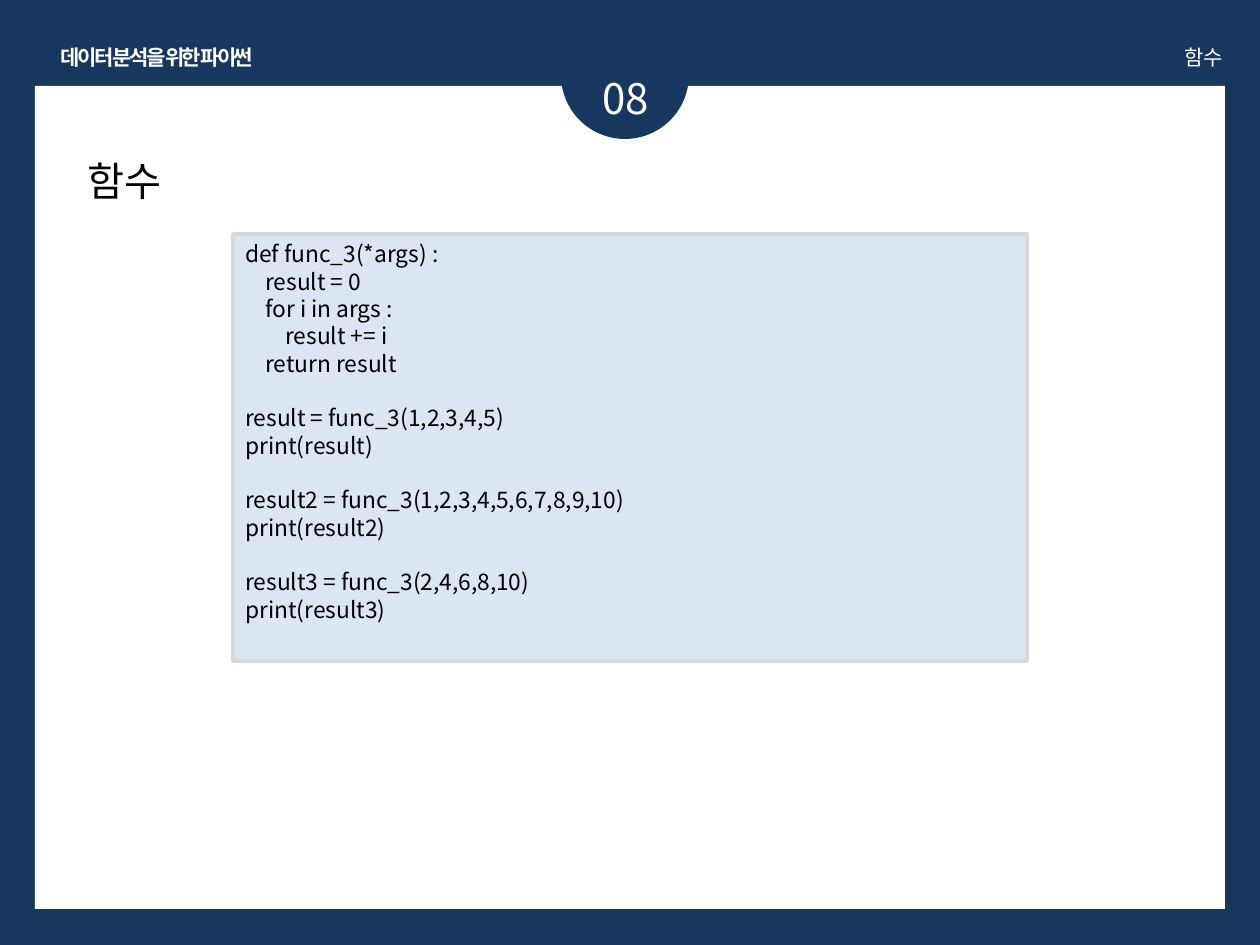
from lxml.etree import SubElement
from pptx import Presentation
from pptx.dml.color import RGBColor
from pptx.enum.shapes import MSO_SHAPE
from pptx.enum.text import MSO_ANCHOR, MSO_AUTO_SIZE, PP_ALIGN
from pptx.oxml.ns import qn
from pptx.util import Emu, Pt

PX = 914400 // 126
FONT = "Noto Sans CJK KR"
NAVY, WHITE, BLACK = "17375E", "FFFFFF", "000000"
CODE_SIZE = 13
INDENT = 20
CODE_BLOCKS = [
    [(0, "def func_3(*args) :"), (1, "result = 0"), (1, "for i in args :"),
     (2, "result += i"), (1, "return result")],
    [(0, "result = func_3(1,2,3,4,5)"), (0, "print(result)")],
    [(0, "result2 = func_3(1,2,3,4,5,6,7,8,9,10)"), (0, "print(result2)")],
    [(0, "result3 = func_3(2,4,6,8,10)"), (0, "print(result3)")],
]


def px(*lengths):
    return [Emu(length * PX) for length in lengths]


def color(value):
    return RGBColor.from_string(value)


def format_paragraph(paragraph, size, text_color, align=PP_ALIGN.LEFT,
                     bold=False, spacing=None):
    paragraph.alignment = align
    for run in paragraph.runs:
        font = run.font
        font.name, font.size, font.bold = FONT, Pt(size), bold
        font.color.rgb = color(text_color)
        properties = run._r.get_or_add_rPr()
        SubElement(properties, qn("a:ea")).set("typeface", FONT)
        if spacing is not None:
            properties.set("spc", str(round(spacing * 100)))


def add_filled(slide, kind, box, fill, line=None):
    shape = slide.shapes.add_shape(kind, *px(*box))
    shape.shadow.inherit = False
    shape.fill.solid()
    shape.fill.fore_color.rgb = color(fill)
    if line:
        shape.line.color.rgb = color(line)
        shape.line.width = Pt(2)
    else:
        shape.line.fill.background()
    return shape


def add_label(slide, box, text, size, wrap=True, **style):
    frame = slide.shapes.add_textbox(*px(*box)).text_frame
    frame.word_wrap = wrap
    frame.auto_size = MSO_AUTO_SIZE.SHAPE_TO_FIT_TEXT
    frame.text = text
    format_paragraph(frame.paragraphs[0], size, WHITE, **style)


def add_frame(slide, box):
    """White page with the chapter badge and the labels above it."""
    left, top, width, height = box
    add_filled(slide, MSO_SHAPE.RECTANGLE, box, WHITE)
    add_filled(slide, MSO_SHAPE.OVAL, (left + 526, top - 75, 128, 128), NAVY)
    add_label(slide, (left, top - 48, 244, 38), "데이터 분석을 위한 파이썬", 12,
              wrap=False, align=PP_ALIGN.CENTER, bold=True, spacing=-1.5)
    add_label(slide, (left + 516, top - 20, 149, 63), "08", 24,
              align=PP_ALIGN.CENTER)
    add_label(slide, (left + width - 486, top - 48, 496, 38), "함수", 12,
              align=PP_ALIGN.RIGHT)


def place_title(slide, box, text):
    title = slide.shapes.title
    slide.shapes.element.append(title.element)  # bring in front of the page
    title.left, title.top, title.width, title.height = px(*box)
    frame = title.text_frame
    frame.text = text
    frame.word_wrap = True
    frame.auto_size = MSO_AUTO_SIZE.SHAPE_TO_FIT_TEXT
    frame.vertical_anchor = MSO_ANCHOR.TOP
    format_paragraph(frame.paragraphs[0], 23, BLACK)


def add_code(slide, box, blocks):
    shape = add_filled(slide, MSO_SHAPE.RECTANGLE, box, "DCE6F2", "D9D9D9")
    frame = shape.text_frame
    frame.word_wrap = True
    frame.vertical_anchor = MSO_ANCHOR.TOP
    frame.text = "\n".join(text for block in blocks for _, text in block)
    paragraphs = iter(frame.paragraphs)
    for block_number, block in enumerate(blocks):
        for line_number, (level, _) in enumerate(block):
            paragraph = next(paragraphs)
            format_paragraph(paragraph, CODE_SIZE, BLACK)
            paragraph._p.get_or_add_pPr().set("marL", str(level * INDENT * PX))
            if block_number and not line_number:
                paragraph.space_before = Pt(CODE_SIZE * 1.2)


def main():
    presentation = Presentation()
    presentation.slide_width, presentation.slide_height = px(1260, 945)
    slide = presentation.slides.add_slide(presentation.slide_layouts[5])
    slide.background.fill.solid()
    slide.background.fill.fore_color.rgb = color(NAVY)
    add_frame(slide, (35, 86, 1190, 823))
    place_title(slide, (75, 150, 1101, 62), "함수")
    add_code(slide, (233, 234, 794, 427), CODE_BLOCKS)
    presentation.save("out.pptx")


if __name__ == "__main__":
    main()
